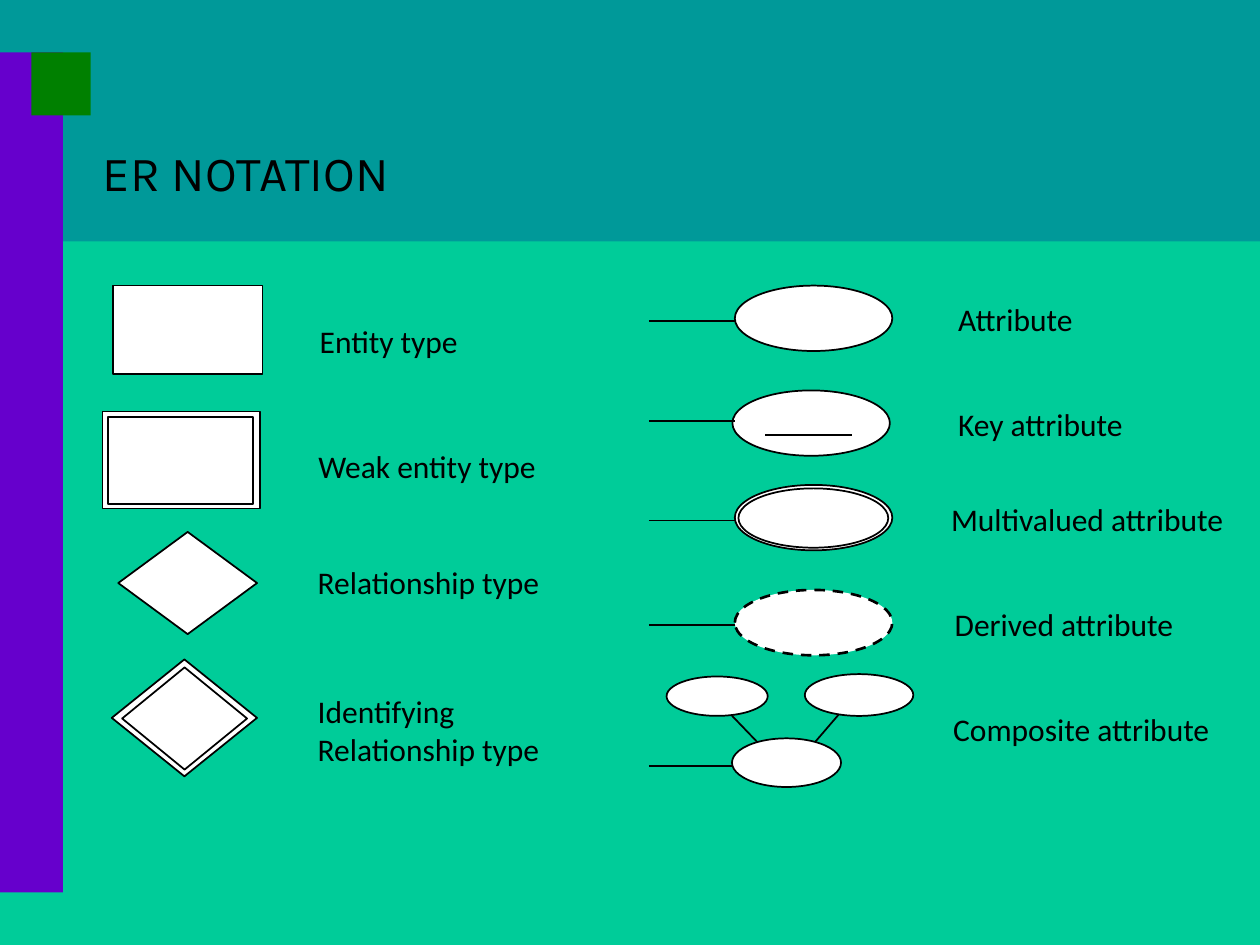
from dataclasses import dataclass

from lxml import etree
from pptx import Presentation
from pptx import util as u
from pptx.dml.color import RGBColor
from pptx.enum import dml, shapes, text
from pptx.oxml.ns import qn

RECT = shapes.MSO_SHAPE.RECTANGLE
DIAMOND = shapes.MSO_SHAPE.DIAMOND
OVAL = shapes.MSO_SHAPE.OVAL


@dataclass(frozen=True)
class Theme:
    background: str = "00CC99"
    band: str = "009999"
    bar: str = "6600CC"
    accent: str = "008000"
    paper: str = "FFFFFF"
    ink: str = "000000"
    title_font: str = "Karla"
    label_font: str = "Calibri"
    title_size: float = 28
    label_size: float = 18


@dataclass(frozen=True)
class Symbol:
    kind: shapes.MSO_SHAPE
    x: float
    y: float
    w: float
    h: float
    fill: str = Theme.paper
    line: float = 1
    dashed: bool = False


@dataclass(frozen=True)
class Line:
    x1: float
    y1: float
    x2: float
    y2: float


@dataclass(frozen=True)
class Label:
    lines: tuple[str, ...]
    x: float
    y: float
    w: float
    h: float = 28.8


def attribute(x: float, y: float, **style) -> Symbol:
    return Symbol(OVAL, x, y, 90, 37.4, **style)


def stem(y: float, end: float = 419.8) -> Line:
    return Line(370.8, y, end, y)


DECORATION = (
    Symbol(RECT, 0, 0, 720, 138, Theme.band, 0),
    Symbol(RECT, 0, 30, 36, 480, Theme.bar, 0),
    Symbol(RECT, 18, 30, 33.8, 36, Theme.accent, 0),
)
SYMBOLS = (
    Symbol(RECT, 64.4, 163.2, 85.6, 50.4),
    Symbol(RECT, 58.5, 235.2, 90, 55.4),
    Symbol(RECT, 61.8, 238.3, 83, 49.7),
    Symbol(DIAMOND, 67.6, 304, 79.3, 58.4),
    Symbol(DIAMOND, 63.9, 376.8, 83, 66.8),
    Symbol(DIAMOND, 69.8, 381.4, 71.4, 58.4),
    attribute(419.9, 163.2),
    attribute(418.5, 223.1),
    attribute(419.9, 277.1),
    Symbol(OVAL, 422, 279.1, 85.6, 33.9),
    attribute(419.9, 337.1, line=1.5, dashed=True),
    Symbol(OVAL, 418.3, 421.9, 62.3, 27.8),
    Symbol(OVAL, 380.9, 386.6, 57.8, 22.5),
    Symbol(OVAL, 459.9, 385.2, 62, 23.9),
)
LINES = (
    stem(183.5),
    stem(240.5),
    stem(297.4),
    stem(357.3),
    stem(437.7, 418.8),
    Line(437.2, 248.5, 486.8, 248.5),
    Line(432.7, 424, 418.2, 408.9),
    Line(465.8, 424, 479.3, 408.3),
)
LABELS = (
    Label(("Entity type",), 175.6, 180.2, 103.7),
    Label(("Weak entity type",), 174.8, 252, 155.5),
    Label(("Relationship type",), 174.5, 318.3, 160.6),
    Label(("Identifying", "Relationship type"), 174.5, 391.6, 160.6, 49),
    Label(("Attribute",), 540.4, 168, 90),
    Label(("Key attribute",), 540.4, 228, 123.1),
    Label(("Multivalued attribute",), 536.4, 282.2, 192.2),
    Label(("Derived attribute",), 538.5, 342, 158.4),
    Label(("Composite attribute",), 537.6, 402, 183.6),
)


def rgb(value: str) -> RGBColor:
    return RGBColor.from_string(value)


def write(sp, lines: tuple[str, ...], *, font: str, size: float, color: str,
          anchor, before: float = 0, spacing: float = 1) -> None:
    tf = sp.text_frame
    tf.word_wrap = False
    tf.auto_size = text.MSO_AUTO_SIZE.SHAPE_TO_FIT_TEXT
    tf.vertical_anchor = anchor
    tf.margin_left = tf.margin_right = u.Pt(7.2)
    tf.margin_top = tf.margin_bottom = u.Pt(3.6)
    for i, line in enumerate(lines):
        p = tf.add_paragraph() if i else tf.paragraphs[0]
        p.alignment = text.PP_ALIGN.LEFT
        p.space_before = u.Pt(before if i else 0)
        if i:
            p.line_spacing = spacing
        r = p.add_run()
        r.text = line
        r.font.name, r.font.size = font, u.Pt(size)
        r.font.color.rgb = rgb(color)


def draw_symbol(slide, item: Symbol, theme: Theme) -> None:
    box = (u.Pt(v) for v in (item.x, item.y, item.w, item.h))
    sp = slide.shapes.add_shape(item.kind, *box)
    sp.shadow.inherit = False
    sp.fill.solid()
    sp.fill.fore_color.rgb = rgb(item.fill)
    if not item.line:
        sp.line.fill.background()
        return
    sp.line.color.rgb = rgb(theme.ink)
    sp.line.width = u.Pt(item.line)
    if item.dashed:
        sp.line.dash_style = dml.MSO_LINE.DASH


def draw_line(slide, item: Line, theme: Theme) -> None:
    ends = (u.Pt(v) for v in (item.x1, item.y1, item.x2, item.y2))
    sp = slide.shapes.add_connector(shapes.MSO_CONNECTOR.STRAIGHT, *ends)
    sp.line.color.rgb = rgb(theme.ink)
    sp.line.width = u.Pt(1)
    etree.SubElement(sp._element.spPr, qn("a:effectLst"))


def draw_label(slide, item: Label, theme: Theme) -> None:
    box = (u.Pt(v) for v in (item.x, item.y, item.w, item.h))
    write(slide.shapes.add_textbox(*box), item.lines, font=theme.label_font,
          size=theme.label_size, color=theme.ink,
          anchor=text.MSO_ANCHOR.MIDDLE, before=11.2, spacing=0.4)


def draw_title(slide, theme: Theme) -> None:
    sp = slide.shapes.title
    sp.left, sp.top, sp.width, sp.height = map(u.Pt, (51.4, 77.8, 198.7, 41))
    write(sp, ("ER NOTATION",), font=theme.title_font, size=theme.title_size,
          color=theme.ink, anchor=text.MSO_ANCHOR.TOP)
    slide.shapes._spTree.append(sp._element)


def main() -> None:
    theme = Theme()
    prs = Presentation()
    prs.slide_width, prs.slide_height = u.Pt(720), u.Pt(540)
    slide = prs.slides.add_slide(prs.slide_layouts[5])
    slide.background.fill.solid()
    slide.background.fill.fore_color.rgb = rgb(theme.background)
    for item in DECORATION + SYMBOLS:
        draw_symbol(slide, item, theme)
    for item in LINES:
        draw_line(slide, item, theme)
    for item in LABELS:
        draw_label(slide, item, theme)
    draw_title(slide, theme)
    prs.save("out.pptx")


if __name__ == "__main__":
    main()
